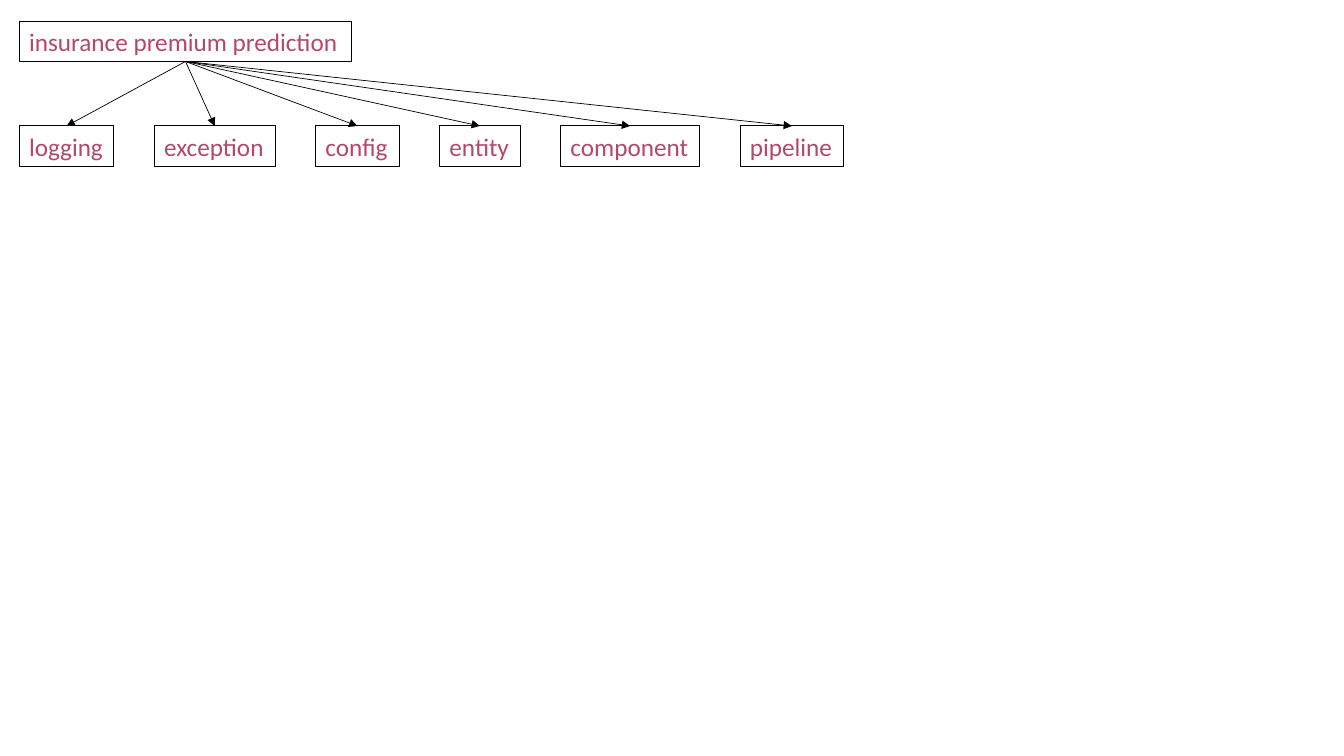
from dataclasses import dataclass

from lxml.etree import SubElement
from pptx import Presentation
from pptx.dml.color import RGBColor
from pptx.enum.shapes import MSO_CONNECTOR
from pptx.enum.text import MSO_AUTO_SIZE
from pptx.oxml.ns import qn
from pptx.util import Inches, Pt


@dataclass(frozen=True)
class Theme:
    """Colours, font and sizes of the module tree."""
    font: str = "Calibri"
    text_size: float = 18
    text_color: str = "B54769"
    line_color: str = "000000"
    box_line: float = 0.75
    arrow_line: float = 0.5


def write_text(text_frame, text, *, font, size, color):
    """Put one formatted run into a text frame."""
    run = text_frame.paragraphs[0].add_run()
    run.text = text
    run.font.name = font
    run.font.size = Pt(size)
    run.font.color.rgb = RGBColor.from_string(color)


class TreeSlide:
    """Draw tree boxes and arrows on one slide in one style."""

    def __init__(self, slide, theme):
        """Keep the slide and its theme."""
        self.slide = slide
        self.theme = theme

    def outline(self, line, width):
        """Apply the line colour and a width in points."""
        line.color.rgb = RGBColor.from_string(self.theme.line_color)
        line.width = Pt(width)

    def box(self, text, left, top, width, height=0.4):
        """Add an outlined label that fits its text."""
        shape = self.slide.shapes.add_textbox(
            Inches(left), Inches(top), Inches(width), Inches(height))
        self.outline(shape.line, self.theme.box_line)
        shape.text_frame.word_wrap = False
        shape.text_frame.auto_size = MSO_AUTO_SIZE.SHAPE_TO_FIT_TEXT
        write_text(shape.text_frame, text, font=self.theme.font,
                   size=self.theme.text_size, color=self.theme.text_color)
        return shape

    def arrow(self, parent, child):
        """Join the bottom of the parent to the top of the child."""
        connector = self.slide.shapes.add_connector(
            MSO_CONNECTOR.STRAIGHT, 0, 0, 0, 0)
        connector.begin_connect(parent, 2)
        connector.end_connect(child, 0)
        self.outline(connector.line, self.theme.arrow_line)
        line = connector.line._get_or_add_ln()
        SubElement(line, qn("a:tailEnd"), type="triangle")
        SubElement(connector._element.spPr, qn("a:effectLst"))


def main():
    """Build the project tree and save it."""
    presentation = Presentation()
    presentation.slide_width = Inches(13.33)
    presentation.slide_height = Inches(7.5)
    slide = presentation.slides.add_slide(presentation.slide_layouts[6])
    tree = TreeSlide(slide, Theme())

    margin, gap = 0.19, 0.4
    module_widths = {
        "logging": 0.94,
        "exception": 1.2,
        "config": 0.83,
        "entity": 0.8,
        "component": 1.38,
        "pipeline": 1.03,
    }
    project = tree.box("insurance premium prediction", margin, 0.21, 3.3)
    modules = []
    left = margin
    for name, width in module_widths.items():
        modules.append(tree.box(name, left, 1.25, width))
        left += width + gap
    for module in modules:
        tree.arrow(project, module)

    presentation.save("out.pptx")


main()
